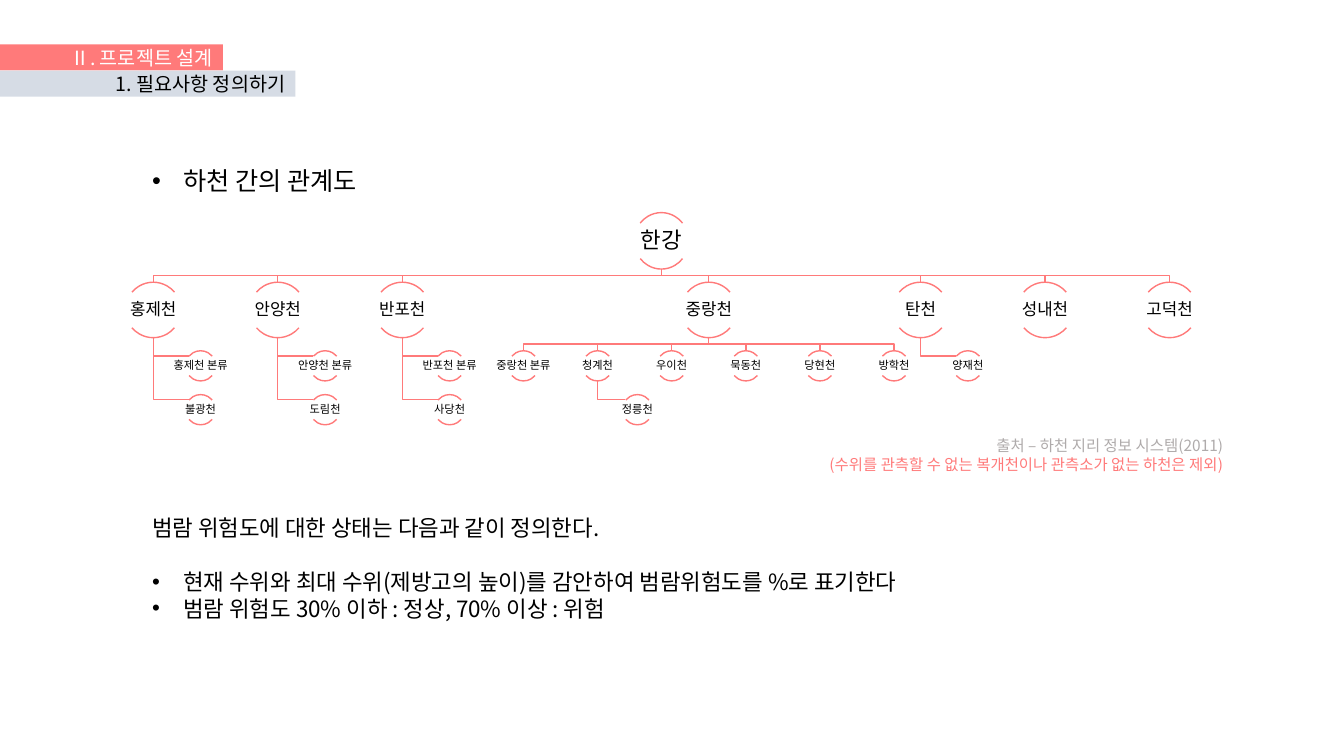
from dataclasses import dataclass

from lxml import etree
from pptx import Presentation, util as u
from pptx.dml import color
from pptx.enum import shapes, text
from pptx.oxml import ns

FONT = "Noto Sans CJK KR"
COLORS = {
    "coral": "FF7A7A",
    "mist": "D6DCE5",
    "white": "FFFFFF",
    "black": "000000",
    "gray": "AFABAB",
}
LEFT, CENTER, RIGHT = text.PP_ALIGN.LEFT, text.PP_ALIGN.CENTER, text.PP_ALIGN.RIGHT
ARC_ANGLES = ((132, 192), (24, 84))
LEAF_PITCH = 0.735
ELBOW_INSET = 0.05
BULLET_INDENT = 0.31


@dataclass(frozen=True)
class Tier:
    top: float
    width: float
    height: float
    label_width: float
    label_height: float
    label_drop: float
    size: int

    @property
    def bottom(self) -> float:
        return self.top + self.height


@dataclass(frozen=True)
class Branch:
    name: str
    x: float
    hanging: tuple[str, ...] = ()
    spread: tuple[str, ...] = ()


@dataclass(frozen=True)
class Line:
    words: str
    size: int
    color: str = "black"
    align: text.PP_ALIGN = LEFT
    bullet: bool = False
    after: float = 0


@dataclass(frozen=True)
class Banner:
    words: str
    top: float
    width: float
    fill: str
    color: str


@dataclass(frozen=True)
class Note:
    left: float
    top: float
    width: float
    height: float
    lines: tuple[Line, ...]
    middle: bool = False


ROOT = Tier(2.11, 0.54, 0.56, 1.08, 0.36, 0.1, 16)
BRANCH = Tier(2.8, 0.55, 0.55, 1.11, 0.35, 0.1, 12)
LEAVES = tuple(Tier(top, 0.3, 0.3, 0.61, 0.19, 0.055, 8) for top in (3.48, 3.915))
ROOT_X = 6.56

BRANCHES = (
    Branch("홍제천", 1.52, hanging=("홍제천 본류", "불광천")),
    Branch("안양천", 2.755, hanging=("안양천 본류", "도림천")),
    Branch("반포천", 3.99, hanging=("반포천 본류", "사당천")),
    Branch("중랑천", 7.03,
           spread=("중랑천 본류", "청계천", "우이천", "묵동천", "당현천", "방학천")),
    Branch("탄천", 9.13, hanging=("양재천",)),
    Branch("성내천", 10.365),
    Branch("고덕천", 11.6),
)
TRIBUTARIES = {"청계천": "정릉천"}

BANNERS = (
    Banner("Ⅱ. 프로젝트 설계", 0.44, 2.21, "coral", "white"),
    Banner("1. 필요사항 정의하기", 0.7, 2.93, "mist", "black"),
)
NOTES = (
    Note(1.41, 1.59, 3.04, 0.4, (Line("하천 간의 관계도", 18, bullet=True),)),
    Note(1.41, 4.92, 7.89, 1.43, (
        Line("범람 위험도에 대한 상태는 다음과 같이 정의한다.", 16, after=19.3),
        Line("현재 수위와 최대 수위(제방고의 높이)를 감안하여 범람위험도를 %로 표기한다",
             16, bullet=True),
        Line("범람 위험도 30% 이하 : 정상, 70% 이상 : 위험", 16, bullet=True),
    ), middle=True),
    Note(7.61, 4.28, 4.62, 0.47, (
        Line("출처 – 하천 지리 정보 시스템(2011)", 11, "gray", RIGHT),
        Line("(수위를 관측할 수 없는 복개천이나 관측소가 없는 하천은 제외)",
             11, "coral", RIGHT),
    )),
)


def rgb(name: str) -> color.RGBColor:
    return color.RGBColor.from_string(COLORS[name])


def write_line(para, line: Line) -> None:
    para.alignment = line.align
    para.space_after = u.Pt(line.after)
    span = para.add_run()
    span.text = line.words
    span.font.size = u.Pt(line.size)
    span.font.name = FONT
    span.font.color.rgb = rgb(line.color)
    etree.SubElement(span.font._element, ns.qn("a:ea"), typeface=FONT)
    if line.bullet:
        properties = para._p.get_or_add_pPr()
        properties.set("marL", str(u.Inches(BULLET_INDENT)))
        properties.set("indent", str(-u.Inches(BULLET_INDENT)))
        etree.SubElement(properties, ns.qn("a:buFont"), typeface="Arial")
        etree.SubElement(properties, ns.qn("a:buChar"), char="•")


def draw_banner(page, banner: Banner) -> None:
    box = page.shapes.add_shape(shapes.MSO_SHAPE.RECTANGLE, 0, u.Inches(banner.top),
                                u.Inches(banner.width), u.Inches(0.26))
    box.shadow.inherit = False
    box.fill.solid()
    box.fill.fore_color.rgb = rgb(banner.fill)
    box.line.fill.background()
    box.text_frame.vertical_anchor = text.MSO_ANCHOR.MIDDLE
    write_line(box.text_frame.paragraphs[0], Line(banner.words, 14, banner.color, RIGHT))


def draw_note(page, note: Note) -> None:
    box = page.shapes.add_textbox(u.Inches(note.left), u.Inches(note.top),
                                  u.Inches(note.width), u.Inches(note.height))
    frame = box.text_frame
    frame.word_wrap = True
    if note.middle:
        frame.vertical_anchor = text.MSO_ANCHOR.MIDDLE
    else:
        frame.auto_size = text.MSO_AUTO_SIZE.SHAPE_TO_FIT_TEXT
    for index, line in enumerate(note.lines):
        write_line(frame.add_paragraph() if index else frame.paragraphs[0], line)


def outline(shape) -> None:
    shape.shadow.inherit = False
    shape.fill.background()
    shape.line.color.rgb = rgb("coral")
    shape.line.width = u.Pt(1)


def draw_path(tree, *points: tuple[float, float]) -> None:
    start, *rest = [(u.Inches(x), u.Inches(y)) for x, y in points]
    builder = tree.shapes.build_freeform(*start)
    builder.add_line_segments(rest, close=False)
    outline(builder.convert_to_shape())


def draw_river(tree, name: str, x: float, tier: Tier) -> None:
    for angles in ARC_ANGLES:
        arc = tree.shapes.add_shape(shapes.MSO_SHAPE.ARC, u.Inches(x - tier.width / 2),
                                    u.Inches(tier.top), u.Inches(tier.width),
                                    u.Inches(tier.height))
        arc.adjustments[0], arc.adjustments[1] = angles
        outline(arc)
    label = tree.shapes.add_textbox(u.Inches(x - tier.label_width / 2),
                                    u.Inches(tier.top + tier.label_drop),
                                    u.Inches(tier.label_width), u.Inches(tier.label_height))
    frame = label.text_frame
    frame.word_wrap = True
    frame.vertical_anchor = text.MSO_ANCHOR.MIDDLE
    frame.margin_left = frame.margin_right = u.Inches(0.01)
    frame.margin_top = frame.margin_bottom = u.Inches(0.01)
    write_line(frame.paragraphs[0], Line(name, tier.size, align=CENTER))
    frame.paragraphs[0].line_spacing = 0.9


def draw_below(tree, name: str, x: float, tier: Tier, parent_x: float, parent: Tier) -> None:
    middle = (parent.bottom + tier.top) / 2
    draw_path(tree, (parent_x, parent.bottom), (parent_x, middle), (x, middle), (x, tier.top))
    draw_river(tree, name, x, tier)


def draw_hanging(tree, name: str, tier: Tier, parent_x: float, parent: Tier,
                 offset: float) -> None:
    elbow = tier.top + ELBOW_INSET
    draw_path(tree, (parent_x, parent.bottom), (parent_x, elbow),
              (parent_x + offset - 0.12, elbow))
    draw_river(tree, name, parent_x + offset, tier)


def draw_branch(tree, branch: Branch) -> None:
    draw_below(tree, branch.name, branch.x, BRANCH, ROOT_X, ROOT)
    for name, tier in zip(branch.hanging, LEAVES):
        draw_hanging(tree, name, tier, branch.x, BRANCH, 0.47)
    for index, name in enumerate(branch.spread):
        x = branch.x + (index - (len(branch.spread) - 1) / 2) * LEAF_PITCH
        draw_below(tree, name, x, LEAVES[0], branch.x, BRANCH)
        if name in TRIBUTARIES:
            draw_hanging(tree, TRIBUTARIES[name], LEAVES[1], x, LEAVES[0], 0.395)


def main() -> None:
    deck = Presentation()
    deck.slide_width, deck.slide_height = u.Inches(13.33), u.Inches(7.5)
    page = deck.slides.add_slide(deck.slide_layouts[6])
    for banner in BANNERS:
        draw_banner(page, banner)
    tree = page.shapes.add_group_shape()
    draw_river(tree, "한강", ROOT_X, ROOT)
    for branch in BRANCHES:
        draw_branch(tree, branch)
    for note in NOTES:
        draw_note(page, note)
    deck.save("out.pptx")


if __name__ == "__main__":
    main()
